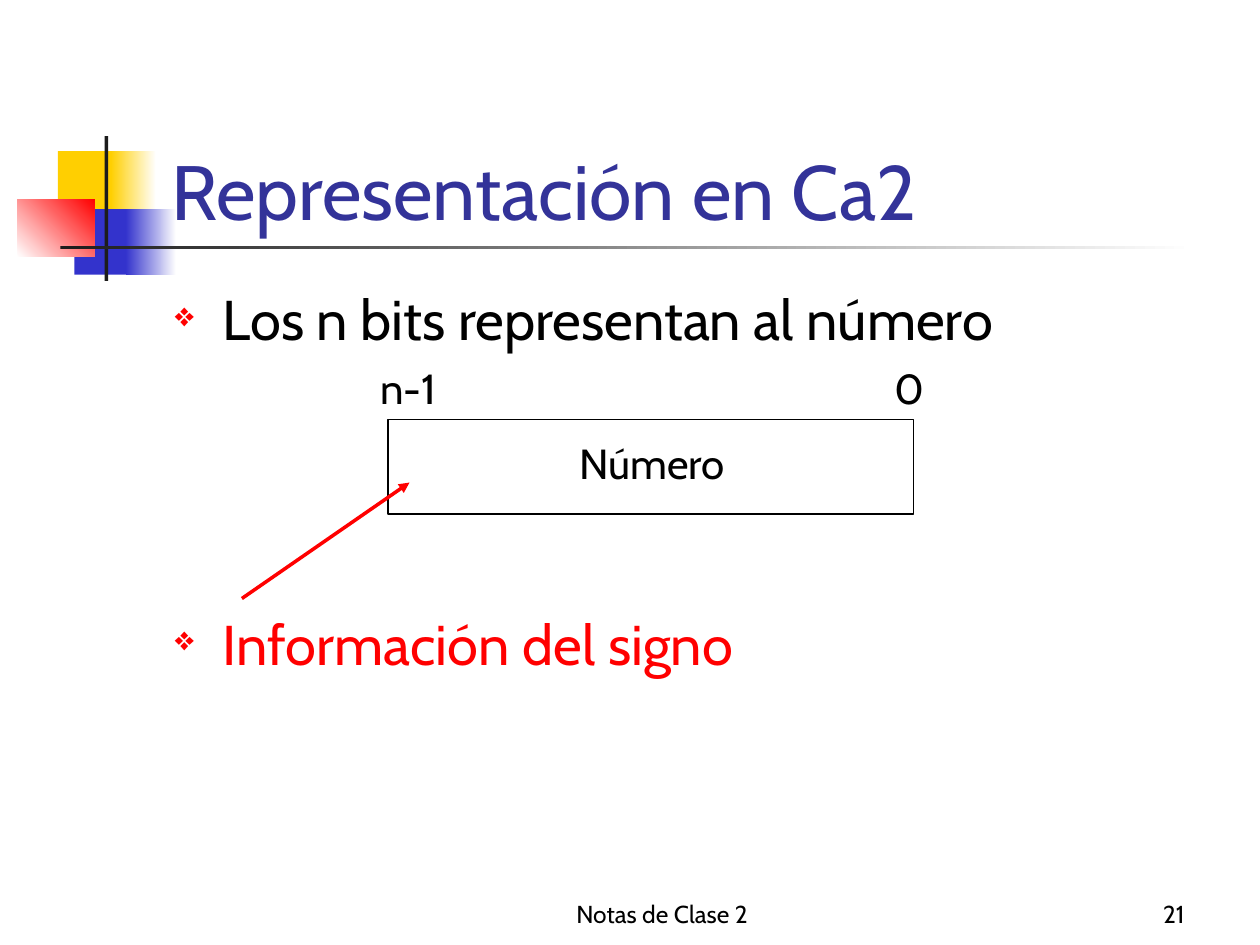
from dataclasses import dataclass

from lxml import etree
from pptx import Presentation
from pptx.dml.color import RGBColor
from pptx.enum.shapes import MSO_CONNECTOR, MSO_SHAPE
from pptx.enum.text import MSO_ANCHOR, PP_ALIGN
from pptx.oxml.ns import qn
from pptx.util import Inches, Pt

RECTANGLE = MSO_SHAPE.RECTANGLE
STRAIGHT = MSO_CONNECTOR.STRAIGHT
TOP, BOTTOM = MSO_ANCHOR.TOP, MSO_ANCHOR.BOTTOM
LEFT, CENTER, RIGHT = PP_ALIGN.LEFT, PP_ALIGN.CENTER, PP_ALIGN.RIGHT

FONT = "Cabin"
COLORS = {
    "white": "FFFFFF",
    "black": "000000",
    "yellow": "FFCF01",
    "blue": "3333CC",
    "red": "FF0000",
    "charcoal": "1C1C1C",
    "indigo": "333399",
}


@dataclass(frozen=True)
class Area:
    left: float
    top: float
    width: float
    height: float

    def lengths(self) -> list:
        return [Inches(v) for v in (self.left, self.top, self.width, self.height)]


@dataclass(frozen=True)
class Block:
    area: Area
    colors: tuple[str, ...]
    angle: float = 0
    outline: str | None = None


@dataclass(frozen=True)
class Line:
    text: str
    size: float
    color: str = "black"
    align: PP_ALIGN = LEFT
    space_before: float = 0
    bullet: bool = False


@dataclass(frozen=True)
class Label:
    area: Area
    lines: tuple[Line, ...]
    anchor: MSO_ANCHOR = TOP


ORNAMENT = (
    Block(Area(0.46, 1.2, 0.48, 0.52), ("yellow",)),
    Block(Area(0.88, 1.2, 0.36, 0.52), ("yellow", "white")),
    Block(Area(0.59, 1.66, 0.46, 0.52), ("blue",)),
    Block(Area(1, 1.66, 0.4, 0.52), ("blue", "white")),
    Block(Area(0.14, 1.58, 0.61, 0.46), ("white", "red"), angle=45),
    Block(Area(0.83, 1.08, 0.03, 1.15), ("charcoal",)),
    Block(Area(0.48, 1.95, 9, 0.03), ("charcoal", "white")),
)
NUMBER_FIELD = Block(Area(3.08, 3.33, 4.17, 0.75), ("white",), outline="black")

PAGE_LABELS = (
    Label(Area(3.67, 6.92, 3.17, 0.5), (Line("Notas de Clase 2", 14, align=CENTER),), BOTTOM),
    Label(Area(7.42, 6.92, 2.08, 0.5), (Line("21", 14, align=RIGHT),), BOTTOM),
    Label(Area(1.26, 0.67, 8.52, 1.25), (Line("Representación en Ca2", 44, "indigo"),), BOTTOM),
    Label(
        Area(1.29, 2.21, 8.5, 4.5),
        (
            Line("Los n bits representan al número", 32, space_before=8, bullet=True),
            Line("Información del signo", 32, "red", space_before=147, bullet=True),
        ),
    ),
)
FIELD_LABELS = (
    Label(Area(4.5, 3.42, 1.58, 0.5), (Line("Número", 24),)),
    Label(Area(7, 2.83, 0.33, 0.5), (Line("0", 24),)),
    Label(Area(2.92, 2.83, 1.08, 0.5), (Line("n-1", 24),)),
)


def rgb(name: str) -> RGBColor:
    return RGBColor.from_string(COLORS[name])


def draw_block(page, block: Block) -> None:
    shape = page.shapes.add_shape(RECTANGLE, *block.area.lengths())
    shape.shadow.inherit = False
    if len(block.colors) == 1:
        shape.fill.solid()
        shape.fill.fore_color.rgb = rgb(block.colors[0])
    else:
        shape.fill.gradient()
        shape.fill.gradient_angle = block.angle
        for position, (stop, color) in enumerate(zip(shape.fill.gradient_stops, block.colors)):
            stop.position = position
            stop.color.rgb = rgb(color)
    if block.outline:
        shape.line.color.rgb = rgb(block.outline)
        shape.line.width = Pt(0.75)
    else:
        shape.line.fill.background()


def add_bullet(para) -> None:
    properties = para._p.get_or_add_pPr()
    properties.set("marL", str(Inches(0.38)))
    properties.set("indent", str(-Inches(0.38)))
    color = etree.SubElement(properties, qn("a:buClr"))
    etree.SubElement(color, qn("a:srgbClr"), val=COLORS["red"])
    etree.SubElement(properties, qn("a:buSzPct"), val="60000")
    etree.SubElement(properties, qn("a:buChar"), char="❖")


def draw_label(page, label: Label) -> None:
    frame = page.shapes.add_textbox(*label.area.lengths()).text_frame
    frame.word_wrap = True
    frame.vertical_anchor = label.anchor
    for index, line in enumerate(label.lines):
        para = frame.add_paragraph() if index else frame.paragraphs[0]
        para.text = line.text
        para.alignment = line.align
        para.space_before = Pt(line.space_before)
        if line.bullet:
            add_bullet(para)
        para.font.name = FONT
        para.font.size = Pt(line.size)
        para.font.color.rgb = rgb(line.color)


def draw_sign_arrow(page) -> None:
    ends = [Inches(v) for v in (1.92, 4.75, 3.25, 3.83)]
    arrow = page.shapes.add_connector(STRAIGHT, *ends)
    arrow.line.color.rgb = rgb("red")
    arrow.line.width = Pt(2)
    etree.SubElement(arrow.line._get_or_add_ln(), qn("a:tailEnd"), type="triangle")
    etree.SubElement(arrow._element.spPr, qn("a:effectLst"))


def main() -> None:
    deck = Presentation()
    deck.slide_width, deck.slide_height = Inches(10), Inches(7.5)
    page = deck.slides.add_slide(deck.slide_layouts[6])
    for block in ORNAMENT:
        draw_block(page, block)
    for label in PAGE_LABELS:
        draw_label(page, label)
    draw_block(page, NUMBER_FIELD)
    for label in FIELD_LABELS:
        draw_label(page, label)
    draw_sign_arrow(page)
    deck.save("out.pptx")


if __name__ == "__main__":
    main()
